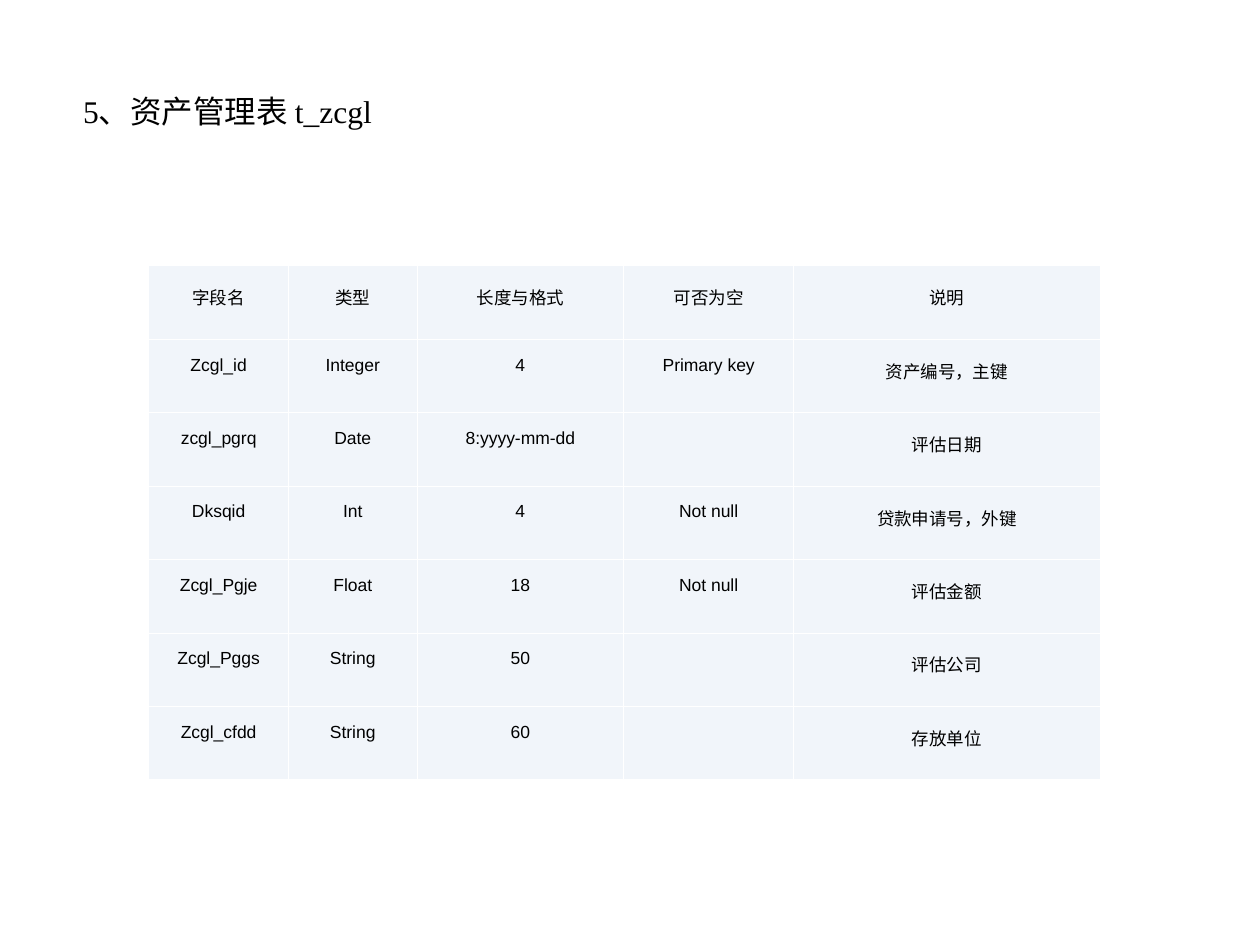
import pptx
import pptx.util
import pptx.dml.color
import pptx.enum.text
import pptx.oxml
from pptx.util import Inches
from lxml import etree

COLORS = {"text": "000000", "cell": "F1F5FA", "border": "FFFFFF"}
ROWS = [
    ["字段名", "类型", "长度与格式", "可否为空", "说明"],
    ["Zcgl_id", "Integer", "4", "Primary key", "资产编号，主键"],
    ["zcgl_pgrq", "Date", "8:yyyy-mm-dd", "", "评估日期"],
    ["Dksqid", "Int", "4", "Not null", "贷款申请号，外键"],
    ["Zcgl_Pgje", "Float", "18", "Not null", "评估金额"],
    ["Zcgl_Pggs", "String", "50", "", "评估公司"],
    ["Zcgl_cfdd", "String", "60", "", "存放单位"],
]
WIDTHS = [1.11, 1.02, 1.64, 1.35, 2.43]
HEIGHT = 4.08
ALIGN = pptx.enum.text.PP_ALIGN


def style(par, face, size, align):
    par.alignment = align
    par.line_spacing = 1.5
    par.font.name = face
    par.font.size = pptx.util.Pt(size)
    par.font.bold = False
    par.font.color.rgb = pptx.dml.color.RGBColor.from_string(COLORS["text"])


def edge(cell):
    """Draw a thin line on all four sides; call before the fill is set."""
    props = cell._tc.get_or_add_tcPr()
    for side in ("lnL", "lnR", "lnT", "lnB"):
        line = etree.SubElement(props, pptx.oxml.ns.qn(f"a:{side}"),
                                w=str(pptx.util.Pt(0.45)))
        fill = etree.SubElement(line, pptx.oxml.ns.qn("a:solidFill"))
        etree.SubElement(fill, pptx.oxml.ns.qn("a:srgbClr"), val=COLORS["border"])


deck = pptx.Presentation()
deck.slide_width, deck.slide_height = Inches(10), Inches(7.5)
slide = deck.slides.add_slide(deck.slide_layouts[5])

title = slide.shapes.title
title.left, title.top = Inches(0.56), Inches(0.53)
title.width, title.height = Inches(2.5), Inches(1.02)
frame = title.text_frame
frame.text = "5、资产管理表 t_zcgl"
frame.word_wrap = True
frame.auto_size = pptx.enum.text.MSO_AUTO_SIZE.NONE
frame.vertical_anchor = pptx.enum.text.MSO_ANCHOR.TOP
style(frame.paragraphs[0], "Times New Roman", 18, ALIGN.JUSTIFY)

table = slide.shapes.add_table(
    len(ROWS), len(WIDTHS), Inches(1.18), Inches(2.11),
    Inches(sum(WIDTHS)), Inches(HEIGHT)).table
table.first_row = table.horz_banding = False
for col, width in zip(table.columns, WIDTHS):
    col.width = Inches(width)
for row, texts in zip(table.rows, ROWS):
    row.height = Inches(HEIGHT / len(ROWS))
    for cell, text in zip(row.cells, texts):
        cell.text = text
        cell.margin_left = cell.margin_right = Inches(0.08)
        style(cell.text_frame.paragraphs[0], "Arial", 10, ALIGN.CENTER)
        edge(cell)
        cell.fill.solid()
        cell.fill.fore_color.rgb = pptx.dml.color.RGBColor.from_string(COLORS["cell"])

deck.save("out.pptx")
